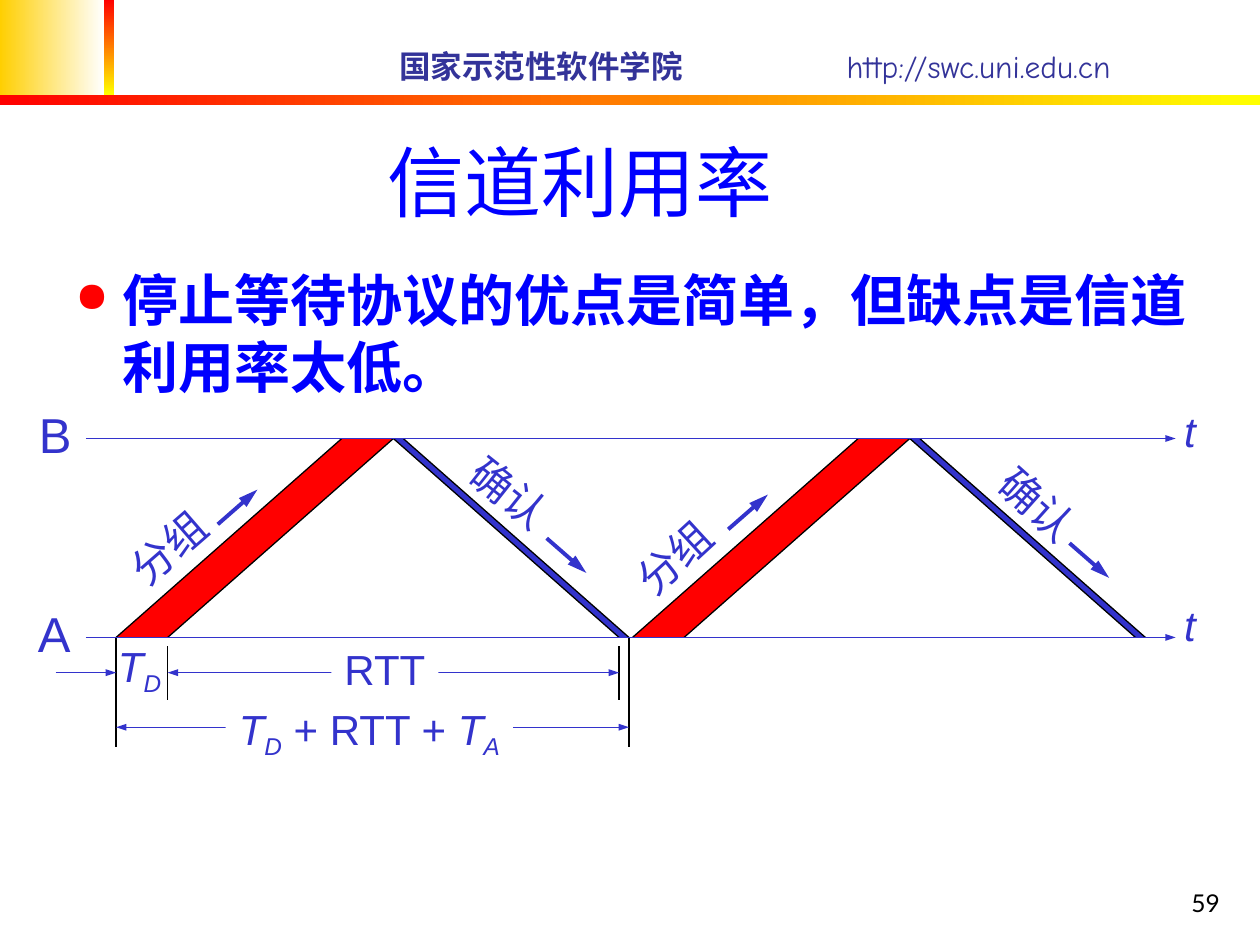
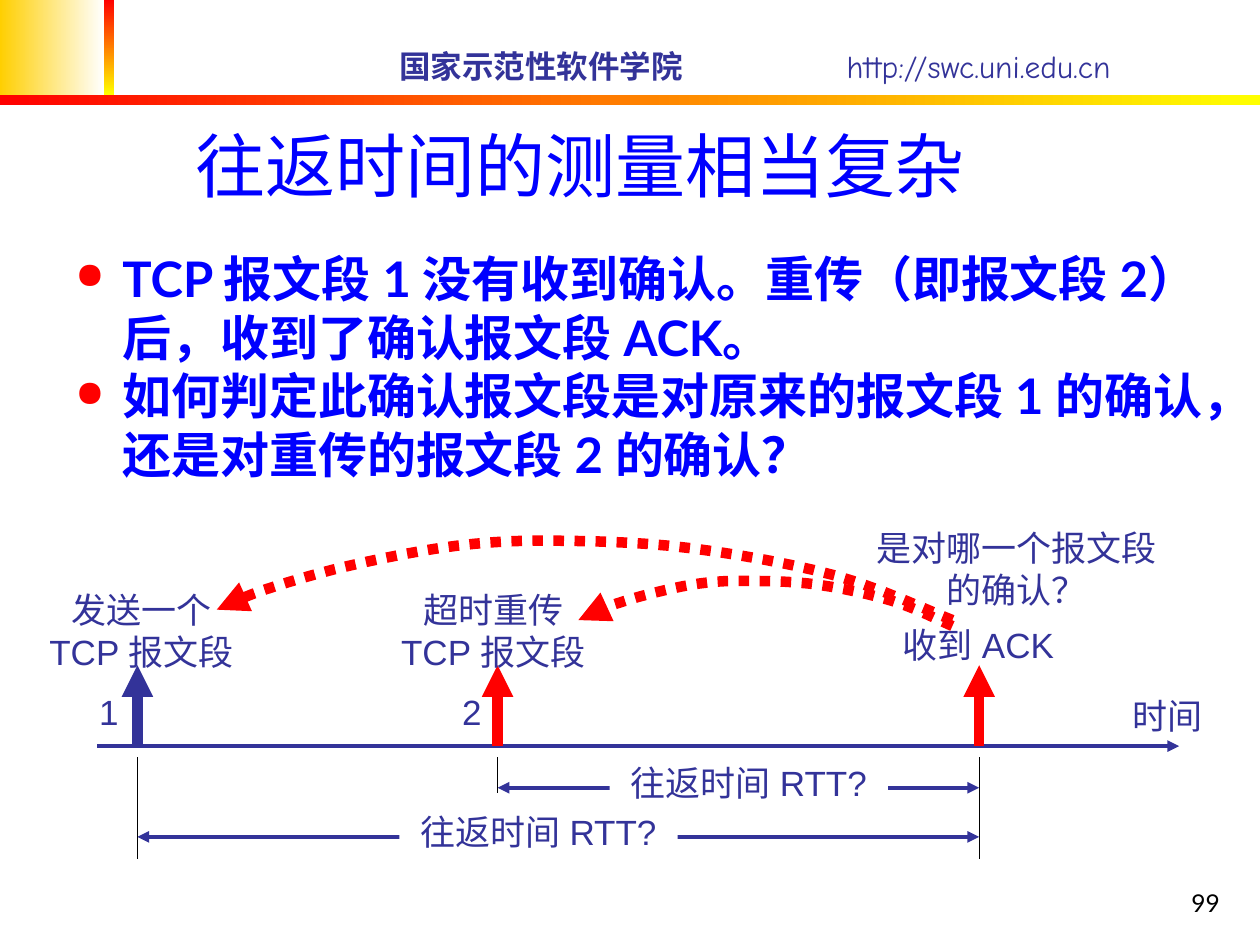
import pptx
import pptx.dml.color
import pptx.enum.dml
import pptx.enum.shapes
import pptx.enum.text
import pptx.oxml.ns
import pptx.util
from lxml import etree

Cm, Pt, qn = pptx.util.Cm, pptx.util.Pt, pptx.oxml.ns.qn
ALIGN = pptx.enum.text.PP_ALIGN
ANCHOR = pptx.enum.text.MSO_ANCHOR

RED, YELLOW, GOLD, WHITE, BLACK = "FF0000", "FFFF00", "FFCF01", "FFFFFF", "000000"
HEADING_BLUE, DIAGRAM_BLUE, NAVY = "0000FF", "3333CC", "333399"
BODY_FONT, LABEL_FONT, HEADER_FONT = "Lato", "Arial", "Comic Neue"

# Pens: colour, width in points, arrowhead width and arrowhead length
EDGE_PEN = (BLACK, 0.75, "med", "med")
AXIS_PEN = (DIAGRAM_BLUE, 0.75, "sm", "med")
DIRECTION_PEN = (DIAGRAM_BLUE, 2.25, "med", "lg")
TIME_PEN = (NAVY, 2.25, "med", "med")
SENT_PEN = (NAVY, 6, "med", "med")
ALERT_PEN = (RED, 6, "med", "med")

# Heights of the time axes of the two stations
B_AXIS, A_AXIS = 8.84, 12.85
# Packet duration, one-way travel and acknowledgement duration along the axis
PACKET, TRAVEL, ACK = 1.04, 4.55, 0.2


def rgb(colour):
    return pptx.dml.color.RGBColor.from_string(colour)


def style_paragraph(paragraph, font_name, size, colour, bold=False, align=ALIGN.LEFT):
    paragraph.alignment = align
    font = paragraph.font
    font.name, font.size, font.bold = font_name, Pt(size), bold
    font.color.rgb = rgb(colour)
    defaults = paragraph._p.pPr.find(qn("a:defRPr"))
    etree.SubElement(defaults, qn("a:ea")).set("typeface", BODY_FONT)


def write_parts(paragraph, parts):
    """Write (text, kind) pairs; kind is "plain", "italic" or "sub"."""
    for text, kind in parts:
        run = paragraph.add_run()
        run.text = text
        run.font.italic = kind != "plain"
        if kind == "sub":
            run.font._element.set("baseline", "-25000")


def add_bullet(paragraph):
    properties = paragraph._p.get_or_add_pPr()
    properties.set("marL", str(Cm(0.95)))
    properties.set("indent", str(-Cm(0.95)))
    colour = etree.SubElement(properties, qn("a:buClr"))
    etree.SubElement(colour, qn("a:srgbClr")).set("val", RED)
    etree.SubElement(properties, qn("a:buSzPct")).set("val", "75000")
    etree.SubElement(properties, qn("a:buChar")).set("char", "●")


def add_text(slide, lines, box, font_name, size, colour, bold=False,
             align=ALIGN.LEFT, anchor=ANCHOR.TOP, bullets=False):
    """Add a text box; a line is a string or a list of (text, kind) pairs."""
    text_box = slide.shapes.add_textbox(*map(Cm, box))
    frame = text_box.text_frame
    frame.word_wrap = True
    frame.vertical_anchor = anchor
    for index, line in enumerate(lines):
        paragraph = frame.add_paragraph() if index else frame.paragraphs[0]
        if bullets:
            add_bullet(paragraph)
        write_parts(paragraph, [(line, "plain")] if isinstance(line, str) else line)
        style_paragraph(paragraph, font_name, size, colour, bold, align)
    return text_box


def add_label(slide, lines, box, size=24, colour=DIAGRAM_BLUE, rotation=0,
              opaque=False):
    """Add centred diagram text that may use the full width of its box."""
    label = add_text(slide, lines, box, LABEL_FONT, size, colour, align=ALIGN.CENTER)
    label.text_frame.margin_left = label.text_frame.margin_right = 0
    label.rotation = rotation
    if opaque:
        label.fill.solid()
        label.fill.fore_color.rgb = rgb(WHITE)


def add_event_label(slide, lines, box, opaque=False):
    add_label(slide, lines, box, 20, NAVY, opaque=opaque)


def style_line(shape, pen, ends=()):
    """Style an outline; ends may hold "headEnd" and "tailEnd" for arrowheads."""
    colour, width, head_width, head_length = pen
    shape.line.color.rgb = rgb(colour)
    shape.line.width = Pt(width)
    outline = shape._element.spPr.find(qn("a:ln"))
    for end in ends:
        arrowhead = etree.SubElement(outline, qn(f"a:{end}"))
        arrowhead.set("type", "triangle")
        arrowhead.set("w", head_width)
        arrowhead.set("len", head_length)


def add_line(slide, start, end, pen=EDGE_PEN, ends=()):
    line = slide.shapes.add_connector(
        pptx.enum.shapes.MSO_CONNECTOR.STRAIGHT, *map(Cm, start + end))
    style_line(line, pen, ends)
    etree.SubElement(line._element.spPr, qn("a:effectLst"))


def add_arrow(slide, start, end, pen=AXIS_PEN):
    add_line(slide, start, end, pen, ["tailEnd"])


def add_span(slide, left, right, y, pen=AXIS_PEN):
    add_line(slide, (left, y), (right, y), pen, ["headEnd", "tailEnd"])


def add_outline(slide, points, closed):
    first, *rest = [(Cm(x), Cm(y)) for x, y in points]
    builder = slide.shapes.build_freeform(*first)
    builder.add_line_segments(rest, close=closed)
    outline = builder.convert_to_shape()
    outline.shadow.inherit = False
    return outline


def smooth_curve(knots, steps=6):
    """Return points of a Catmull-Rom curve through the knots."""
    padded = [knots[0], *knots, knots[-1]]
    points = [knots[0]]
    for a, b, c, d in zip(padded, padded[1:], padded[2:], padded[3:]):
        for step in range(1, steps + 1):
            t = step / steps
            points.append(tuple(
                q + t / 2 * (r - p + t * (2 * p - 5 * q + 4 * r - s
                                          + t * (3 * q - p - 3 * r + s)))
                for p, q, r, s in zip(a, b, c, d)))
    return points


def add_dotted_arc(slide, knots):
    arc = add_outline(slide, smooth_curve(knots), closed=False)
    arc.fill.background()
    arc.line.dash_style = pptx.enum.dml.MSO_LINE.ROUND_DOT
    style_line(arc, ALERT_PEN, ["tailEnd"])


def add_transmission(slide, bottom, top, duration, colour):
    """Draw the slanted band of a message between the axes, with dark edges."""
    corners = [(bottom, A_AXIS), (top, B_AXIS),
               (top + duration, B_AXIS), (bottom + duration, A_AXIS)]
    band = add_outline(slide, corners, closed=True)
    band.fill.solid()
    band.fill.fore_color.rgb = rgb(colour)
    band.line.fill.background()
    add_line(slide, corners[0], corners[1])
    add_line(slide, corners[3], corners[2])


def add_exchange(slide, start):
    arrival = start + PACKET + TRAVEL
    add_transmission(slide, arrival + TRAVEL, arrival, ACK, DIAGRAM_BLUE)
    add_transmission(slide, start, start + TRAVEL, PACKET, RED)


def add_gradient(slide, box, first, last, angle=0):
    band = slide.shapes.add_shape(
        pptx.enum.shapes.MSO_SHAPE.RECTANGLE, *map(Cm, box))
    band.shadow.inherit = False
    band.line.fill.background()
    band.fill.gradient()
    band.fill.gradient_angle = angle
    for stop, colour in zip(band.fill.gradient_stops, (first, last)):
        stop.color.rgb = rgb(colour)


def add_page(deck, title, title_size, title_bottom, points, points_size,
             points_top, number):
    """Add a slide with the shared bands, header, title, bullets and number."""
    slide = deck.slides.add_slide(deck.slide_layouts[6])
    add_gradient(slide, (0, 0, 2.1, 1.92), GOLD, WHITE)
    add_gradient(slide, (2.1, 0, 0.2, 1.92), RED, YELLOW, 270)
    add_gradient(slide, (0, 1.92, 25.4, 0.2), RED, YELLOW)
    for text, left, bold in (("国家示范性软件学院", 7.8, True),
                             ("http://swc.uni.edu.cn", 16.82, False)):
        add_text(slide, [text], (left, 0.81, 8, 1.02), HEADER_FONT, 18, NAVY,
                 bold, anchor=ANCHOR.MIDDLE)
    add_text(slide, [title], (0.46, title_bottom - 2.34, 22.48, 2.34), BODY_FONT,
             title_size, HEADING_BLUE, align=ALIGN.CENTER, anchor=ANCHOR.BOTTOM)
    add_text(slide, points, (1.27, points_top, 23.5, 3.91), BODY_FONT,
             points_size, HEADING_BLUE, bold=True, bullets=True)
    add_text(slide, [number], (19.56, 17.35, 5.28, 1.27), BODY_FONT, 14, BLACK,
             align=ALIGN.RIGHT, anchor=ANCHOR.BOTTOM)
    return slide


def build_utilisation(deck):
    slide = add_page(deck, "信道利用率", 44, 4.7,
                     ["停止等待协议的优点是简单，但缺点是信道利用率太低。"], 32, 5.23, "59")
    first_start, second_start = 2.34, 12.75
    packet_end = first_start + PACKET
    ack_start = packet_end + 2 * TRAVEL
    ack_end = ack_start + ACK
    packet_time = [("T", "italic"), ("D", "sub")]

    add_label(slide, [packet_time], (2.13, 12.78, 1.37, 1.42))
    for x in (first_start, ack_end):
        add_line(slide, (x, A_AXIS), (x, 15.06))
    for x in (packet_end, ack_start):
        add_line(slide, (x, 13.03), (x, 14.12))
    add_arrow(slide, (1.12, 13.56), (first_start, 13.56))
    add_span(slide, packet_end, ack_start, 13.56)
    add_label(slide, ["RTT"], (6.68, 12.85, 2.16, 1.27), opaque=True)
    add_span(slide, first_start, ack_end, 14.66)
    cycle_time = packet_time + [(" + RTT + ", "plain"), ("T", "italic"), ("A", "sub")]
    add_label(slide, [cycle_time], (4.55, 14.05, 5.79, 1.42), opaque=True)

    for start in (first_start, second_start):
        add_exchange(slide, start)
    for text, left, top, rotation in (("分组", 2.31, 10.39, 318.9),
                                      ("确认", 9.19, 9.3, 38.5),
                                      ("分组", 12.5, 10.59, 317.4),
                                      ("确认", 19.84, 9.53, 41.8)):
        add_label(slide, [text], (left, top, 2.18, 1.27), rotation=rotation)
    for x, y, rise in ((4.39, 10.57, -0.7), (11.02, 10.85, 0.7),
                       (14.68, 10.67, -0.7), (21.56, 10.95, 0.7)):
        add_arrow(slide, (x, y), (x + 0.8, y + rise), DIRECTION_PEN)

    for station, y, left, time_top in (("B", B_AXIS, 0.53, 8.05),
                                       ("A", A_AXIS, 0.51, 11.96)):
        add_label(slide, [station], (left, y - 0.81, 1.17, 1.45), 28)
        add_arrow(slide, (1.73, y), (23.7, y))
        add_label(slide, [[("t", "italic")]], (23.62, time_top, 0.74, 1.27))


def build_round_trip(deck):
    slide = add_page(deck, "往返时间的测量相当复杂", 40, 4.29,
                     ["TCP 报文段 1 没有收到确认。重传（即报文段 2）后，收到了确认报文段 ACK。",
                      "如何判定此确认报文段是对原来的报文段 1 的确认，还是对重传的报文段 2 的确认？"],
                     28, 4.88, "99")
    sent, resent, received = 2.77, 10.03, 19.74
    time_axis = 15.04

    for start, y, label_left in ((resent, 15.88, 12.29), (sent, 16.87, 8.05)):
        add_span(slide, start, received, y, TIME_PEN)
        add_event_label(slide, ["往返时间 RTT?"], (label_left, y - 0.65, 5.61, 1.12),
                        opaque=True)
    add_arrow(slide, (1.96, time_axis), (23.77, time_axis), TIME_PEN)
    for x, pen, tick_end in ((sent, SENT_PEN, 17.32), (resent, ALERT_PEN, 15.98),
                             (received, ALERT_PEN, 17.32)):
        add_arrow(slide, (x, time_axis), (x, 13.41), pen)
        add_line(slide, (x, 15.27), (x, tick_end))

    for lines, box in ((["发送一个", "TCP 报文段"], (0.66, 11.73, 4.39, 1.96)),
                       (["超时重传", "TCP 报文段"], (7.75, 11.73, 4.39, 1.96)),
                       (["收到 ACK"], (17.78, 12.45, 3.89, 1.12)),
                       (["时间"], (22.58, 13.87, 1.9, 1.12)),
                       (["1"], (1.75, 13.79, 0.89, 1.12)),
                       (["2"], (9.07, 13.79, 0.89, 1.12))):
        add_event_label(slide, lines, box)

    add_dotted_arc(slide, [(19.2, 12.62), (18.01, 12.12), (16.51, 11.79),
                           (15.16, 11.71), (14.12, 11.76), (13.03, 11.99),
                           (12.14, 12.27), (11.66, 12.5)])
    add_dotted_arc(slide, [(19.2, 12.5), (16.87, 11.61), (13.92, 11.05),
                           (11.25, 10.9), (9.22, 11), (7.06, 11.4),
                           (5.33, 11.89), (4.37, 12.29)])
    add_event_label(slide, ["是对哪一个报文段", "的确认？"], (17.42, 10.49, 6.15, 1.96))


def main():
    deck = pptx.Presentation()
    deck.slide_width, deck.slide_height = Cm(25.4), Cm(19.05)
    build_utilisation(deck)
    build_round_trip(deck)
    deck.save("out.pptx")


if __name__ == "__main__":
    main()
